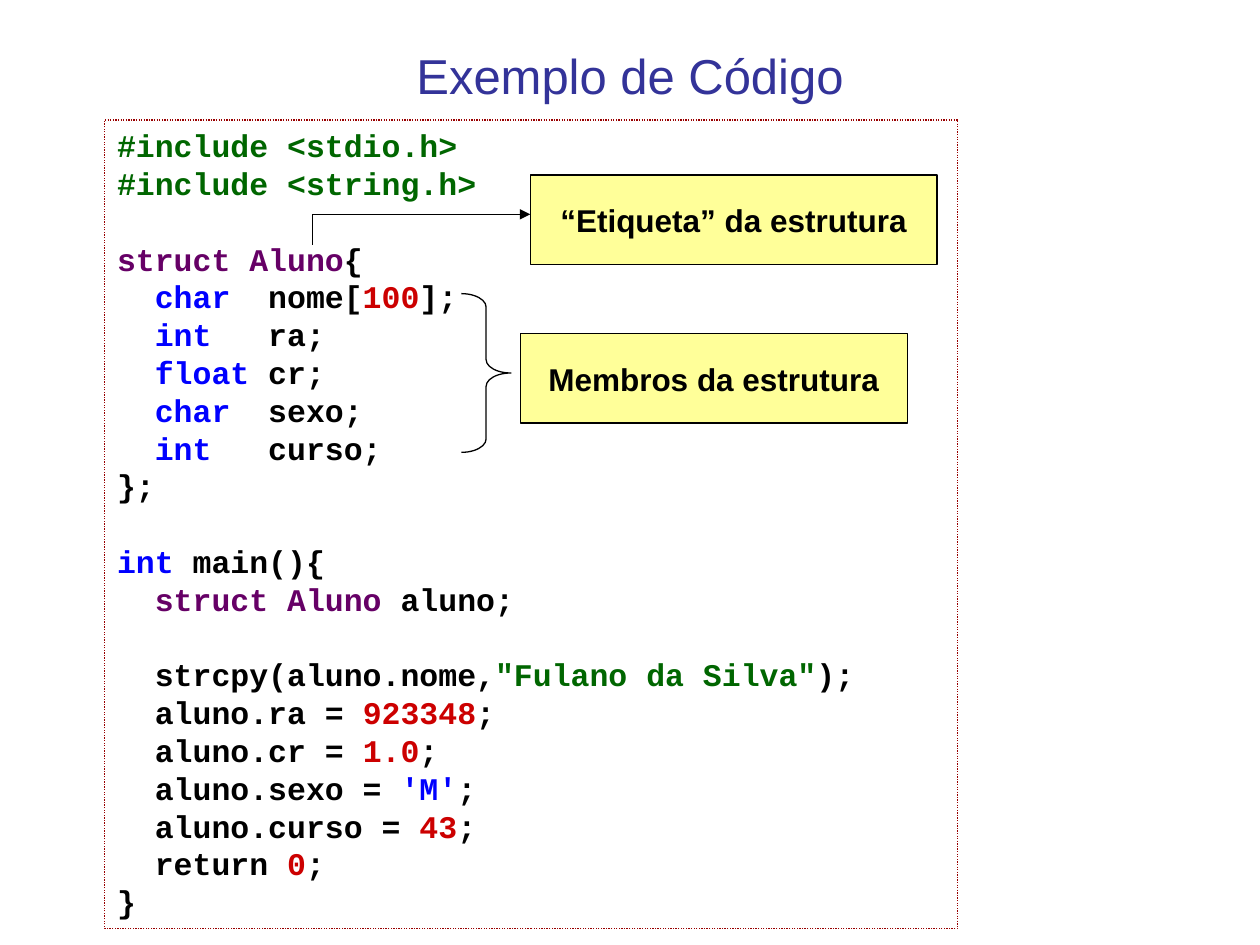
from dataclasses import dataclass

from lxml import etree
from pptx import Presentation
from pptx.dml.color import RGBColor
from pptx.enum.dml import MSO_LINE
from pptx.enum.shapes import MSO_CONNECTOR, MSO_SHAPE
from pptx.enum.text import MSO_ANCHOR, MSO_AUTO_SIZE, PP_ALIGN
from pptx.oxml.ns import qn
from pptx.util import Cm, Pt

DOTTED = MSO_LINE.ROUND_DOT
STRAIGHT = MSO_CONNECTOR.STRAIGHT
RECTANGLE, BRACE = MSO_SHAPE.RECTANGLE, MSO_SHAPE.RIGHT_BRACE
TOP, MIDDLE = MSO_ANCHOR.TOP, MSO_ANCHOR.MIDDLE
LEFT, CENTER = PP_ALIGN.LEFT, PP_ALIGN.CENTER


@dataclass(frozen=True)
class Theme:
    title: str = "333399"
    border: str = "990000"
    label: str = "FFFF99"
    plain: str = "000000"
    string: str = "006600"
    struct: str = "660066"
    keyword: str = "0000FF"
    number: str = "CC0000"
    sans: str = "Arial"
    mono: str = "Courier New"
    title_size: float = 28
    text_size: float = 18
    code_pitch: float = 21.6
    line_width: float = 0.75


theme = Theme()


def add_text(paragraph, text, *, color=theme.plain, font=theme.sans,
             size=theme.text_size, bold=True, align=CENTER):
    paragraph.alignment = align
    run = paragraph.add_run()
    run.text = text
    run.font.name = font
    run.font.size = Pt(size)
    run.font.bold = bold
    run.font.color.rgb = RGBColor.from_string(color)


def add_box(kind, left, top, width, height, *, fill=None, line=theme.plain):
    shape = slide.shapes.add_shape(kind, Cm(left), Cm(top), Cm(width), Cm(height))
    shape.shadow.inherit = False
    if fill:
        shape.fill.solid()
        shape.fill.fore_color.rgb = RGBColor.from_string(fill)
    else:
        shape.fill.background()
    shape.line.color.rgb = RGBColor.from_string(line)
    shape.line.width = Pt(theme.line_width)
    return shape


presentation = Presentation()
presentation.slide_width, presentation.slide_height = Cm(25.4), Cm(19.05)
slide = presentation.slides.add_slide(presentation.slide_layouts[5])

# Title
title = slide.shapes.title
title.left, title.top, title.width, title.height = Cm(1.27), Cm(-0.08), Cm(22.86), Cm(3.18)
title.text_frame.vertical_anchor = MIDDLE
add_text(title.text_frame.paragraphs[0], "Exemplo de Código",
         color=theme.title, size=theme.title_size, bold=False)

# Code listing: an empty line becomes space before the next one
P, S, T, K, N = theme.plain, theme.string, theme.struct, theme.keyword, theme.number
code = [
    [("#include <stdio.h>", S)],
    [("#include <string.h>", S)],
    [],
    [("struct Aluno", T), ("{", P)],
    [("  char", K), ("  nome[", P), ("100", N), ("];", P)],
    [("  int", K), ("   ra;", P)],
    [("  float", K), (" cr;", P)],
    [("  char", K), ("  sexo;", P)],
    [("  int", K), ("   curso;", P)],
    [("};", P)],
    [],
    [("int", K), (" main(){", P)],
    [("  struct Aluno", T), (" aluno;", P)],
    [],
    [("  strcpy(aluno.nome,", P), ('"Fulano da Silva"', S), (");", P)],
    [("  aluno.ra = ", P), ("923348", N), (";", P)],
    [("  aluno.cr = ", P), ("1.0", N), (";", P)],
    [("  aluno.sexo = ", P), ("'M'", K), (";", P)],
    [("  aluno.curso = ", P), ("43", N), (";", P)],
    [("  return ", P), ("0", N), (";", P)],
    [("}", P)],
]
code_box = add_box(RECTANGLE, 2.11, 2.42, 17.2, 16.3, line=theme.border)
code_box.line.dash_style = DOTTED
frame = code_box.text_frame
frame.word_wrap = True
frame.auto_size = MSO_AUTO_SIZE.SHAPE_TO_FIT_TEXT
frame.vertical_anchor = TOP
for index, line in enumerate(code):
    if not line:
        continue
    paragraph = frame.add_paragraph() if index else frame.paragraphs[0]
    paragraph.line_spacing = Pt(theme.code_pitch)
    if index and not code[index - 1]:
        paragraph.space_before = Pt(theme.code_pitch)
    for text, color in line:
        add_text(paragraph, text, color=color, font=theme.mono, align=LEFT)

# Brace around the members
brace = add_box(BRACE, 9.3, 5.92, 1, 3.2)
brace.adjustments[0], brace.adjustments[1] = 0.27, 0.5

# Labels
for text, left, top, width in [
    ("Membros da estrutura", 10.49, 6.73, 7.8),
    ("“Etiqueta” da estrutura", 10.69, 3.53, 8.2),
]:
    label = add_box(RECTANGLE, left, top, width, 1.8, fill=theme.label)
    label.text_frame.word_wrap = False
    label.text_frame.vertical_anchor = MIDDLE
    add_text(label.text_frame.paragraphs[0], text)

# Elbow from the structure tag to its label, with the arrowhead on the last leg
corners = [(6.3, 4.93), (6.3, 4.32), (10.69, 4.32)]
for start, end in zip(corners, corners[1:]):
    leg = slide.shapes.add_connector(STRAIGHT, *map(Cm, start + end))
    leg.line.color.rgb = RGBColor.from_string(theme.plain)
    leg.line.width = Pt(theme.line_width)
    properties = leg.element.spPr
    etree.SubElement(properties, qn("a:effectLst"))
    if end == corners[-1]:
        etree.SubElement(properties.find(qn("a:ln")), qn("a:tailEnd"),
                         type="triangle", w="med", len="med")

presentation.save("out.pptx")
